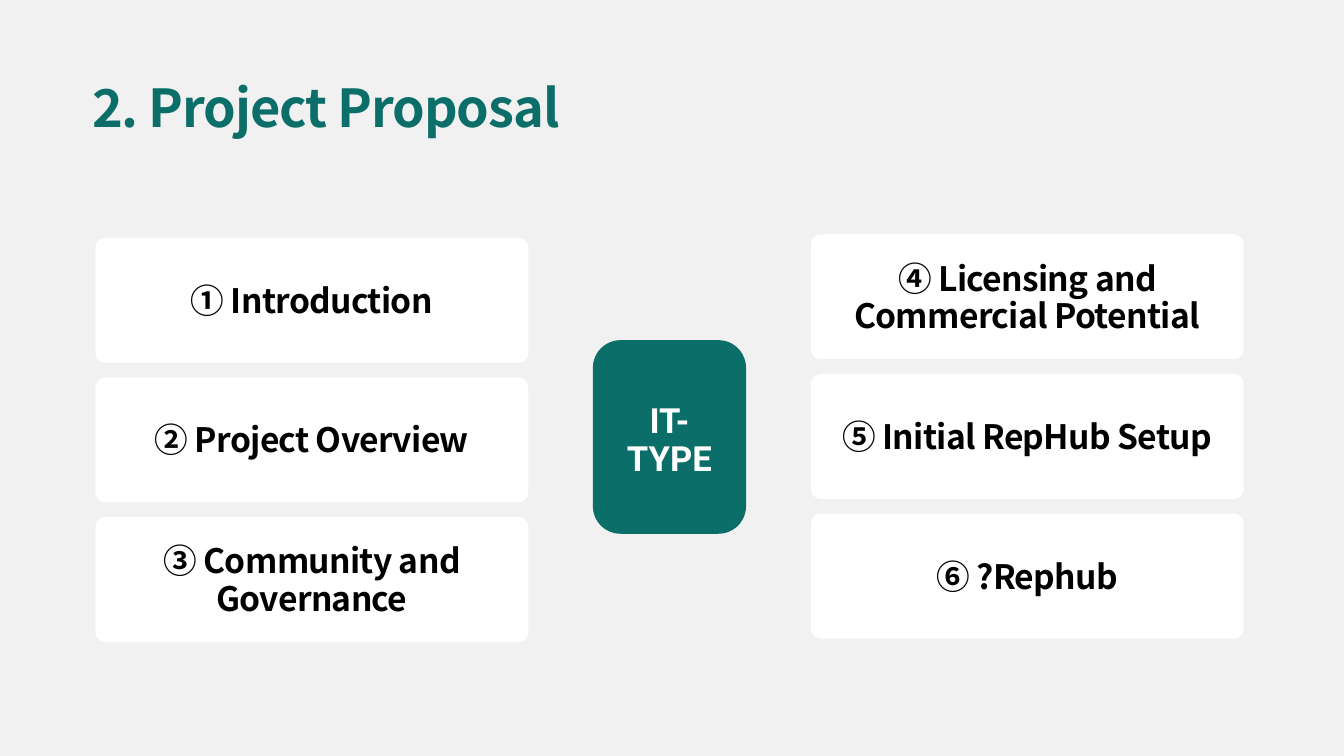
import pptx
import pptx.dml.color
import pptx.enum.shapes
import pptx.enum.text
import pptx.oxml.ns
import pptx.util
from lxml import etree

Cm = pptx.util.Cm
Pt = pptx.util.Pt
RGBColor = pptx.dml.color.RGBColor
PP_ALIGN = pptx.enum.text.PP_ALIGN
MSO_ANCHOR = pptx.enum.text.MSO_ANCHOR

GREY = RGBColor(0xF1, 0xF1, 0xF1)
WHITE = RGBColor(0xFF, 0xFF, 0xFF)
BLACK = RGBColor(0, 0, 0)
GREEN = RGBColor(0x0B, 0x6E, 0x69)
SANS = "Noto Sans CJK SC"


def write(sp, text, *, size, color, line, font=SANS, spacing=0,
          align=PP_ALIGN.CENTER, anchor=MSO_ANCHOR.MIDDLE, side=0, top=0):
    tf = sp.text_frame
    tf.word_wrap = True
    tf.auto_size = pptx.enum.text.MSO_AUTO_SIZE.NONE
    tf.vertical_anchor = anchor
    tf.margin_left = tf.margin_right = Cm(side)
    tf.margin_top, tf.margin_bottom = Cm(top), 0
    tf.text = text
    for p in tf.paragraphs:
        p.alignment = align
        p.line_spacing = Pt(line)
        p.space_before = Pt(0)
        for r in p.runs:
            r.font.name = font
            r.font.size = Pt(size)
            r.font.bold = True
            r.font.color.rgb = color
            rPr = r.font._element
            rPr.set("spc", str(round(spacing * 100)))
            ea = etree.SubElement(rPr, pptx.oxml.ns.qn("a:ea"))
            ea.set("typeface", font)


def add_card(left, top, width, height, radius, fill):
    sp = s.shapes.add_shape(pptx.enum.shapes.MSO_SHAPE.ROUNDED_RECTANGLE,
                            Cm(left), Cm(top), Cm(width), Cm(height))
    sp.adjustments[0] = radius
    sp.shadow.inherit = False
    sp.fill.solid()
    sp.fill.fore_color.rgb = fill
    sp.line.fill.background()
    return sp


prs = pptx.Presentation()
prs.slide_width = Cm(50.8)
prs.slide_height = Cm(28.58)
s = prs.slides.add_slide(prs.slide_layouts[5])
s.background.fill.solid()
s.background.fill.fore_color.rgb = GREY

title = s.shapes.title
title.left, title.top = Cm(3.48), Cm(3.02)
title.width, title.height = Cm(37.8), Cm(2.24)
write(title, "2. Project Proposal", size=56, color=GREEN, line=62.2,
      spacing=-1.1, align=PP_ALIGN.LEFT, anchor=MSO_ANCHOR.TOP)

columns = [
    (3.61, 8.99, ["① Introduction", "② Project Overview",
                  "③ Community and Governance"]),
    (30.65, 8.86, ["④ Licensing and Commercial Potential",
                   "⑤ Initial RepHub Setup", "⑥ ?Rephub"]),
]
for left, top, labels in columns:
    for i, label in enumerate(labels):
        sp = add_card(left, top + i * 5.28, 16.36, 4.72, 0.08, WHITE)
        write(sp, label, size=36, color=BLACK, line=40, spacing=-0.7,
              side=0.5, top=0.08)

sp = add_card(22.41, 12.86, 5.79, 7.32, 0.18, GREEN)
write(sp, "IT-\nTYPE", size=37.1, color=WHITE, line=41.1, font="Roboto",
      top=0.23)

prs.save("out.pptx")
